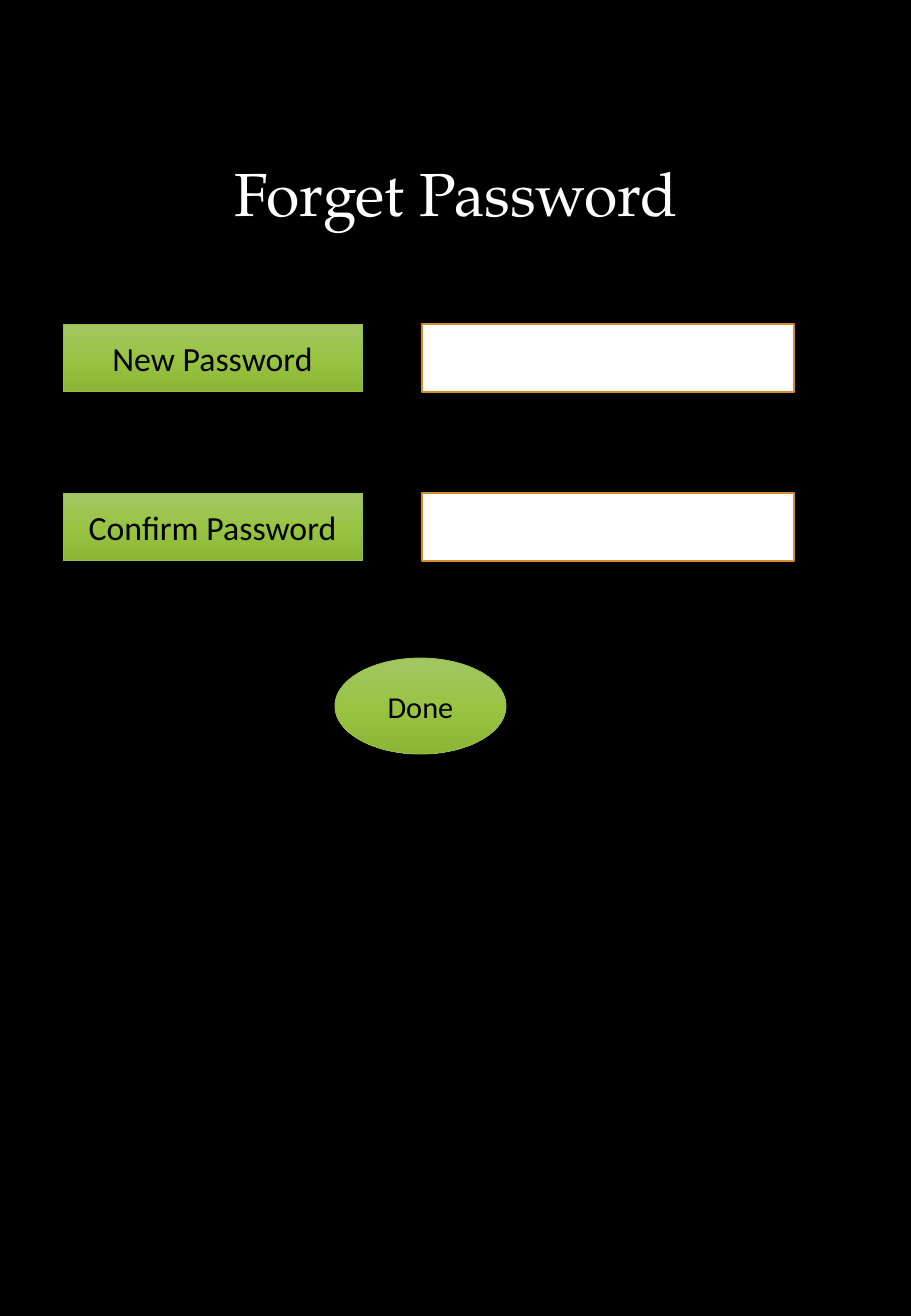
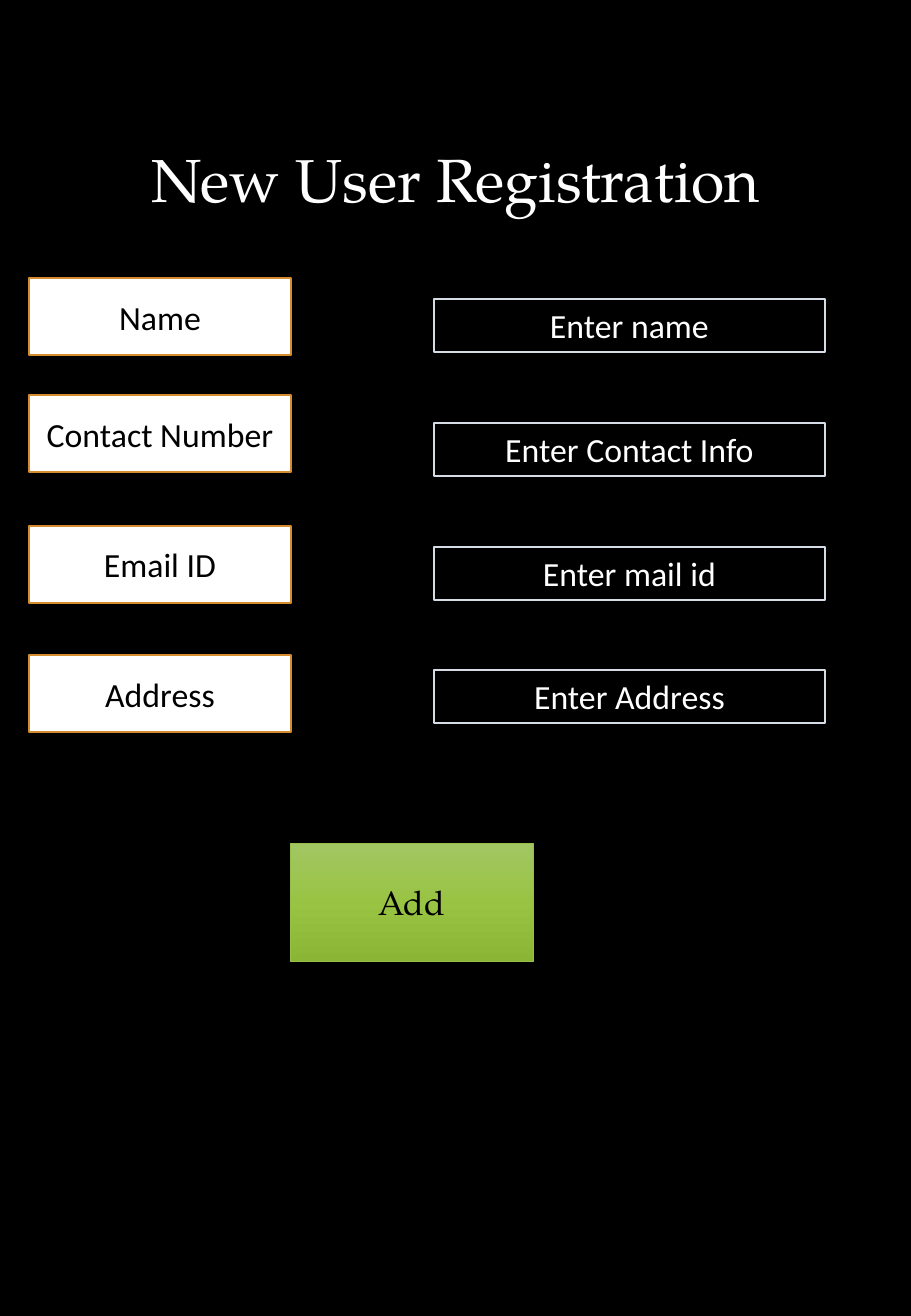
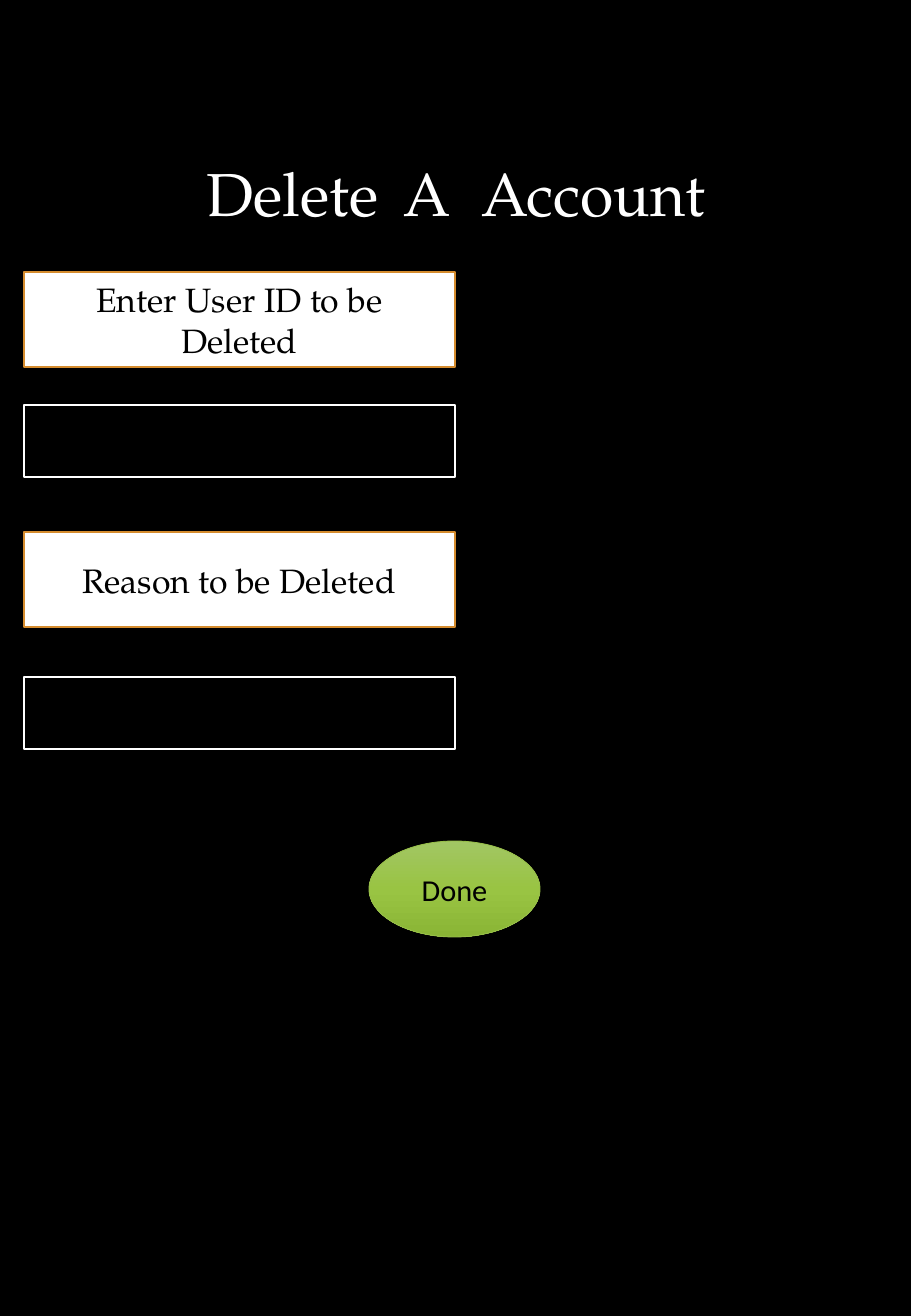
from copy import deepcopy

from pptx import Presentation
from pptx.dml.color import RGBColor
from pptx.enum.shapes import MSO_SHAPE
from pptx.enum.text import MSO_ANCHOR, PP_ALIGN
from pptx.util import Emu, Pt

RECT, OVAL = MSO_SHAPE.RECTANGLE, MSO_SHAPE.OVAL
PROCESS = MSO_SHAPE.FLOWCHART_PROCESS
TOP, MIDDLE = MSO_ANCHOR.TOP, MSO_ANCHOR.MIDDLE
CENTER = PP_ALIGN.CENTER

SCALE = 914400 / 121.5
SANS, SERIF = "Calibri", "TeX Gyre Pagella"
BLACK, WHITE = "000000", "FFFFFF"
ORANGE, PALE, GREEN = "D58C2E", "D6DCE5", "97BE49"
SHADES = [(0, "A2C664"), (0.5, "99C443"), (1, "8AB535")]


def px(size):
    """Turn pixels into EMU."""
    return Emu(round(size * SCALE))


def color(code):
    """Turn a hex string into a colour."""
    return RGBColor.from_string(code)


def write(frame, text, size, font, ink, anchor=MIDDLE):
    """Write one centred paragraph into a text frame."""
    frame.word_wrap = True
    frame.vertical_anchor = anchor
    para = frame.paragraphs[0]
    para.alignment = CENTER
    run = para.add_run()
    run.text = text
    for key, value in {"size": Pt(size), "name": font}.items():
        setattr(run.font, key, value)
    run.font.color.rgb = color(ink)
    return para


def shade(shape):
    """Fill a shape with the green gradient, light at the top."""
    fill = shape.fill
    fill.gradient()
    fill.gradient_angle = 270
    first = shape.element.spPr.gradFill.gsLst[0]
    first.addnext(deepcopy(first))
    for stop, (place, code) in zip(fill.gradient_stops, SHADES):
        stop.position = place
        stop.color.rgb = color(code)


def block(slide, kind, box, line, width):
    """Add an outlined shape without fill or shadow."""
    shape = slide.shapes.add_shape(kind, *map(px, box))
    shape.shadow.inherit = False
    shape.fill.background()
    shape.line.color.rgb = color(line)
    shape.line.width = Pt(width)
    return shape


def button(slide, box, text, kind=RECT, size=20, font=SANS):
    """Add a green shape with black text."""
    shape = block(slide, kind, box, GREEN, 0.5)
    shade(shape)
    write(shape.text_frame, text, size, font, BLACK)


def done(slide, left, top):
    """Add the oval that closes a form."""
    button(slide, (left, top, 171, 96), "Done", OVAL, 18)


def card(slide, box, text="", font=SANS):
    """Add a white box with an orange edge."""
    shape = block(slide, RECT, box, ORANGE, 1)
    shape.fill.solid()
    shape.fill.fore_color.rgb = color(WHITE)
    if text:
        write(shape.text_frame, text, 20, font, BLACK)


def field(slide, box, text="", line=WHITE):
    """Add a hollow entry box with an optional prompt."""
    shape = block(slide, RECT, box, line, 0.75)
    if text:
        write(shape.text_frame, text, 20, SANS, WHITE, TOP)


def page(deck, title, top=70, height=254):
    """Add a slide with its title."""
    slide = deck.slides.add_slide(deck.slide_layouts[6])
    box = slide.shapes.add_textbox(*map(px, (63, top, 786, height)))
    para = write(box.text_frame, title, 36, SERIF, WHITE)
    para.line_spacing = 0.9
    return slide


def forget(deck):
    """Build the password form."""
    slide = page(deck, "Forget Password")
    for row, text in enumerate(["New Password", "Confirm Password"]):
        top = 324 + 169 * row
        button(slide, (63, top, 299, 68), text)
        card(slide, (422, top, 372, 68))
    done(slide, 335, 658)


def register(deck):
    """Build the registration form."""
    slide = page(deck, "New User Registration", 52, 261)
    rows = [
        (278, "Name", 299, "Enter name"),
        (395, "Contact Number", 423, "Enter Contact Info"),
        (526, "Email ID", 547, "Enter mail id"),
        (655, "Address", 670, "Enter Address"),
    ]
    for top, label, start, prompt in rows:
        card(slide, (29, top, 262, 77), label)
        field(slide, (434, start, 391, 53), prompt, PALE)
    button(slide, (290, 843, 243, 118), "Add", PROCESS, font=SERIF)


def delete(deck):
    """Build the account removal form."""
    slide = page(deck, "Delete\t A  Account")
    rows = [
        (272, "Enter User ID to be Deleted", 405),
        (532, "Reason to be Deleted", 677),
    ]
    for top, label, start in rows:
        card(slide, (24, top, 431, 95), label, SERIF)
        field(slide, (24, start, 431, 72))
    done(slide, 369, 841)


def main():
    """Build and save the deck."""
    deck = Presentation()
    deck.slide_width, deck.slide_height = px(911), px(1316)
    back = deck.slide_master.background.fill
    back.solid()
    back.fore_color.rgb = color(BLACK)
    for build in (forget, register, delete):
        build(deck)
    deck.save("out.pptx")


main()
